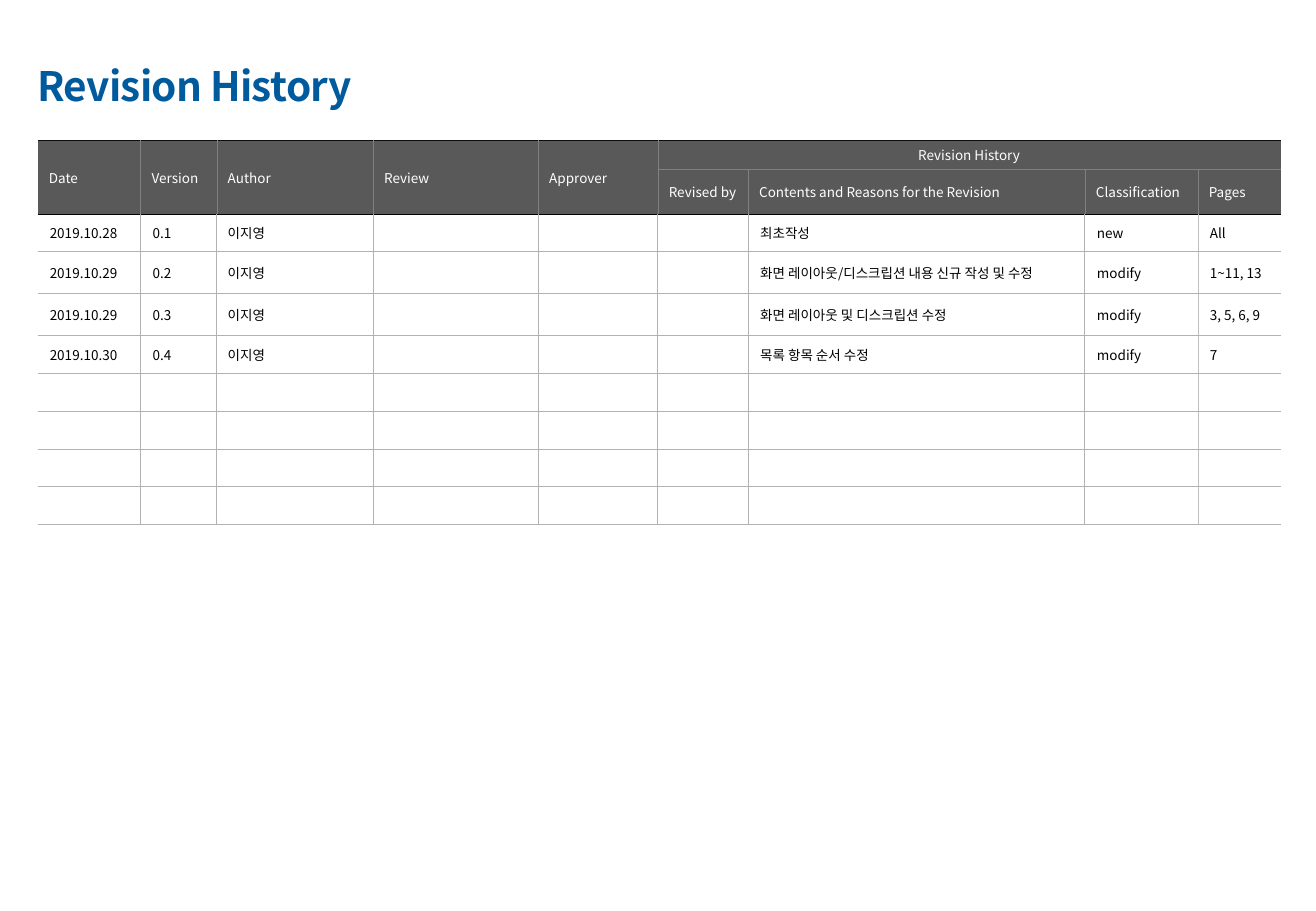
from dataclasses import dataclass

import lxml.etree
import pptx
import pptx.dml.color
import pptx.enum.text
import pptx.oxml
import pptx.oxml.ns
import pptx.slide
import pptx.table
import pptx.text.text
import pptx.util

Cm = pptx.util.Cm
FONT_NAME = "Noto Sans CJK KR"
HEADER_ROWS = 2
HISTORY_COLUMN = 5
COLUMN_WIDTHS = [2.15, 1.59, 3.27, 3.45, 2.5, 1.89, 7.04, 2.36, 1.73]
ROW_HEIGHTS = [0.61, 0.94, 0.78, 0.88, 0.88] + [0.79] * 5
HEADINGS = [
    ["Date", "Version", "Author", "Review", "Approver", "Revision History"],
    [""] * HISTORY_COLUMN
    + ["Revised by", "Contents and Reasons for the Revision", "Classification", "Pages"],
]


@dataclass(frozen=True)
class Revision:
    date: str
    version: str
    contents: str
    classification: str
    pages: str
    author: str = "이지영"

    def texts(self) -> list[str]:
        return [self.date, self.version, self.author, "", "", "",
                self.contents, self.classification, self.pages]


@dataclass(frozen=True)
class Border:
    color: str
    width: float = 0.25


REVISIONS = [
    Revision("2019.10.28", "0.1", "최초작성", "new", "All"),
    Revision("2019.10.29", "0.2", "화면 레이아웃/디스크립션 내용 신규 작성 및 수정", "modify", "1~11, 13"),
    Revision("2019.10.29", "0.3", "화면 레이아웃 및 디스크립션 수정", "modify", "3, 5, 6, 9"),
    Revision("2019.10.30", "0.4", "목록 항목 순서 수정", "modify", "7"),
]
GRID_BORDER = Border("B2B2B2", 0.75)
HEADER_BORDER = Border("808080")
PAGES_BORDER = Border("BFBFBF")
HORIZONTAL_BORDERS = {0: Border("0D0D0D"), 1: HEADER_BORDER, 2: Border("000000")}


def set_values(target: object, values: dict[str, object]) -> None:
    for name, value in values.items():
        setattr(target, name, value)


def paint(fill: pptx.dml.fill.FillFormat, color: str) -> None:
    fill.solid()
    fill.fore_color.rgb = pptx.dml.color.RGBColor.from_string(color)


def write_text(paragraph: pptx.text.text._Paragraph, text: str, size: float,
               color: str, bold: bool = False) -> pptx.text.text._Run:
    run = paragraph.add_run()
    run.text = text
    set_values(run.font, {"name": FONT_NAME, "size": pptx.util.Pt(size), "bold": bold})
    paint(run.font.fill, color)
    east_asian = lxml.etree.SubElement(run._r.get_or_add_rPr(), pptx.oxml.ns.qn("a:ea"))
    east_asian.set("typeface", FONT_NAME)
    return run


def draw_border(cell: pptx.table._Cell, side: str, border: Border | None) -> None:
    properties = cell._tc.get_or_add_tcPr()
    line = lxml.etree.SubElement(properties, pptx.oxml.ns.qn(f"a:ln{side}"))
    if border is None:
        lxml.etree.SubElement(line, pptx.oxml.ns.qn("a:noFill"))
        return
    line.set("w", str(int(pptx.util.Pt(border.width))))
    fill = lxml.etree.SubElement(line, pptx.oxml.ns.qn("a:solidFill"))
    lxml.etree.SubElement(fill, pptx.oxml.ns.qn("a:srgbClr")).set("val", border.color)


def vertical_border(row: int, boundary: int) -> Border | None:
    if boundary in (0, len(COLUMN_WIDTHS)):
        return None
    if row < HEADER_ROWS:
        return HEADER_BORDER
    return PAGES_BORDER if boundary == len(COLUMN_WIDTHS) - 1 else GRID_BORDER


def format_cell(cell: pptx.table._Cell, row: int, column: int, text: str) -> None:
    is_header = row < HEADER_ROWS
    side_margin = Cm(0.23 if is_header or column == 2 else 0.25)
    set_values(cell, {
        "margin_left": side_margin,
        "margin_right": side_margin,
        "margin_top": Cm(0.1),
        "margin_bottom": Cm(0.1),
        "vertical_anchor": pptx.enum.text.MSO_ANCHOR.MIDDLE,
    })
    borders = {
        "L": vertical_border(row, column),
        "R": vertical_border(row, column + cell.span_width),
        "T": HORIZONTAL_BORDERS.get(row, GRID_BORDER),
        "B": HORIZONTAL_BORDERS.get(row + cell.span_height, GRID_BORDER),
    }
    for side, border in borders.items():
        draw_border(cell, side, border)
    if is_header:
        paint(cell.fill, "595959")
    else:
        cell.fill.background()
    paragraph = cell.text_frame.paragraphs[0]
    if text:
        write_text(paragraph, text, 8, "FFFFFF" if is_header else "000000")
    else:
        lxml.etree.SubElement(paragraph._p, pptx.oxml.ns.qn("a:endParaRPr")).set("sz", "800")


def add_title(slide: pptx.slide.Slide) -> None:
    title = slide.shapes.title
    set_values(title, {"left": Cm(0.55), "top": Cm(1.14), "width": Cm(10.2), "height": Cm(1.27)})
    set_values(title.text_frame, {
        "margin_left": Cm(0.23),
        "margin_right": Cm(0.23),
        "margin_top": Cm(0.13),
        "margin_bottom": Cm(0.13),
        "vertical_anchor": pptx.enum.text.MSO_ANCHOR.MIDDLE,
        "word_wrap": True,
    })
    paragraph = title.text_frame.paragraphs[0]
    paragraph.alignment = pptx.enum.text.PP_ALIGN.LEFT
    run = write_text(paragraph, "Revision History", 24, "005A9E", bold=True)
    run._r.get_or_add_rPr().set("spc", "-40")


def add_revision_table(slide: pptx.slide.Slide) -> None:
    table = slide.shapes.add_table(
        len(ROW_HEIGHTS), len(COLUMN_WIDTHS), Cm(0.79), Cm(2.93),
        Cm(sum(COLUMN_WIDTHS)), Cm(sum(ROW_HEIGHTS)),
    ).table
    set_values(table, {"first_row": False, "horz_banding": False})
    for column, width in zip(table.columns, COLUMN_WIDTHS):
        column.width = Cm(width)
    for row, height in zip(table.rows, ROW_HEIGHTS):
        row.height = Cm(height)
    for column in range(HISTORY_COLUMN):
        table.cell(0, column).merge(table.cell(1, column))
    history_heading = table.cell(0, HISTORY_COLUMN)
    history_heading.merge(table.cell(0, len(COLUMN_WIDTHS) - 1))

    texts = HEADINGS + [revision.texts() for revision in REVISIONS]
    for row in range(len(ROW_HEIGHTS)):
        row_texts = texts[row] if row < len(texts) else []
        for column in range(len(COLUMN_WIDTHS)):
            text = row_texts[column] if column < len(row_texts) else ""
            format_cell(table.cell(row, column), row, column, text)
    history_heading.text_frame.paragraphs[0].alignment = pptx.enum.text.PP_ALIGN.CENTER


def main() -> None:
    presentation = pptx.Presentation()
    set_values(presentation, {"slide_width": Cm(27.51), "slide_height": Cm(19.05)})
    slide = presentation.slides.add_slide(presentation.slide_layouts[5])
    add_title(slide)
    add_revision_table(slide)
    presentation.save("out.pptx")


if __name__ == "__main__":
    main()
